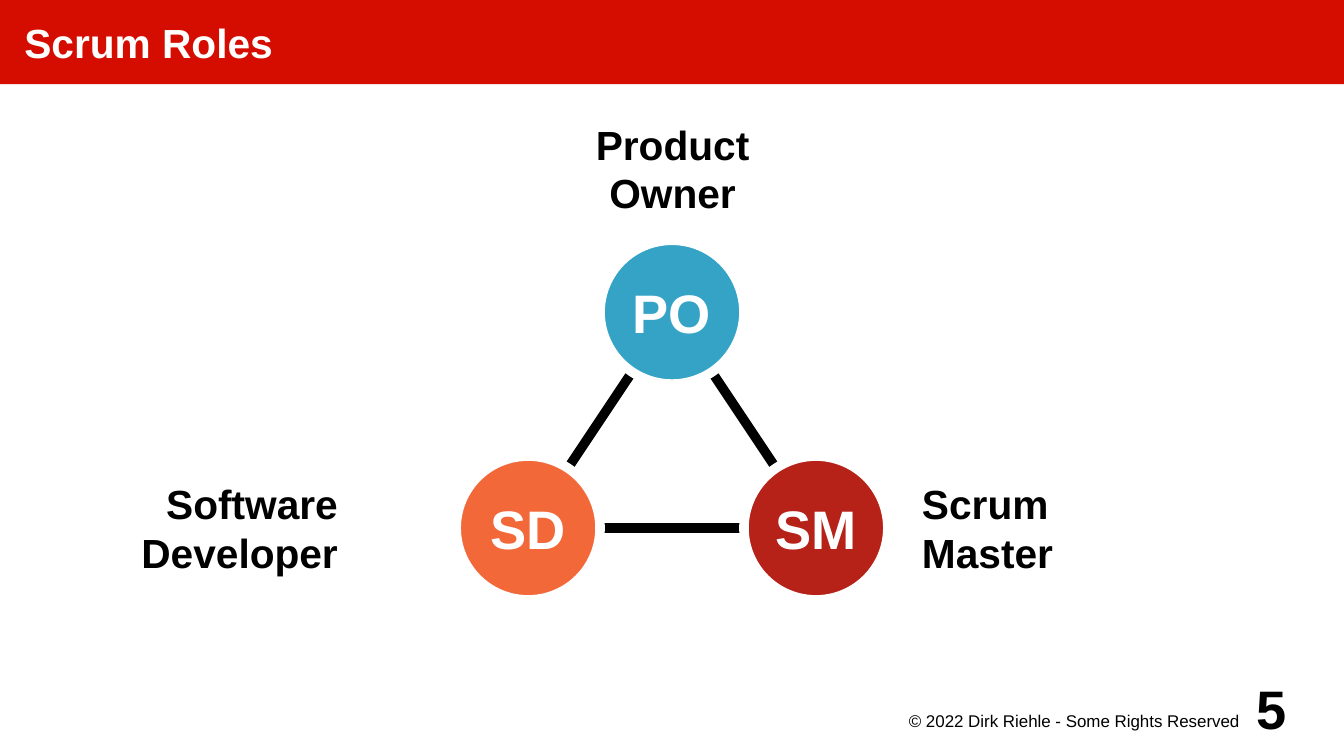
from dataclasses import dataclass
from itertools import combinations

from lxml.etree import SubElement
from pptx import Presentation
from pptx.dml.color import RGBColor
from pptx.enum.shapes import MSO_CONNECTOR, MSO_SHAPE
from pptx.enum.text import MSO_ANCHOR, PP_ALIGN
from pptx.oxml.ns import qn
from pptx.util import Inches, Pt


@dataclass(frozen=True)
class Theme:
    font: str = "Arial"
    banner: RGBColor = RGBColor(0xD5, 0x0D, 0x01)
    owner: RGBColor = RGBColor(0x34, 0xA3, 0xC5)
    master: RGBColor = RGBColor(0xB6, 0x21, 0x18)
    developer: RGBColor = RGBColor(0xF3, 0x68, 0x38)
    white: RGBColor = RGBColor(0xFF, 0xFF, 0xFF)
    black: RGBColor = RGBColor(0, 0, 0)
    heading: Pt = Pt(24)
    large: Pt = Pt(32)
    small: Pt = Pt(10)
    stroke: Pt = Pt(5.67)


theme = Theme()


def write(shape, text, size=theme.heading, color=theme.black, bold=True,
          align=PP_ALIGN.LEFT, anchor=MSO_ANCHOR.MIDDLE,
          insets=(0.08, 0.08, 0.08, 0.08), wrap=True):
    """Fill a shape with text; insets run left, top, right, bottom in inches."""
    frame = shape.text_frame
    frame.text = text
    frame.word_wrap = wrap
    frame.vertical_anchor = anchor
    (frame.margin_left, frame.margin_top,
     frame.margin_right, frame.margin_bottom) = map(Inches, insets)
    for paragraph in frame.paragraphs:
        paragraph.alignment = align
        font = paragraph.font
        font.name, font.size, font.bold = theme.font, size, bold
        font.color.rgb = color


def add_filled(kind, box, fill):
    shape = slide.shapes.add_shape(kind, *map(Inches, box))
    shape.shadow.inherit = False
    shape.fill.solid()
    shape.fill.fore_color.rgb = fill
    shape.line.fill.background()
    return shape


deck = Presentation()
deck.slide_width, deck.slide_height = Inches(11.02), Inches(6.2)
slide = deck.slides.add_slide(deck.slide_layouts[6])

banner = add_filled(MSO_SHAPE.RECTANGLE, (0, 0, 11.02, 0.69), theme.banner)
write(banner, "Scrum Roles", color=theme.white, insets=(0.2, 0, 0, 0))

# Triangle of roles: initials, circle centre, colour
diameter = 1.18
roles = [
    ("SM", (6.69, 4.33), theme.master),
    ("PO", (5.51, 2.56), theme.owner),
    ("SD", (4.33, 4.33), theme.developer),
]

for (_, start, _), (_, end, _) in combinations(roles, 2):
    side = slide.shapes.add_connector(
        MSO_CONNECTOR.STRAIGHT, *map(Inches, start + end))
    side.line.color.rgb = theme.black
    side.line.width = theme.stroke
    SubElement(side.line._get_or_add_ln().getparent(), qn("a:effectLst"))

for initials, (x, y), color in roles:
    box = (x - diameter / 2, y - diameter / 2, diameter, diameter)
    circle = add_filled(MSO_SHAPE.OVAL, box, color)
    circle.line.color.rgb = theme.white
    circle.line.width = theme.stroke
    write(circle, initials, size=theme.large, color=theme.white,
          align=PP_ALIGN.CENTER, insets=(0.1, 0.1, 0.1, 0.1), wrap=False)

# Role names, then footer and page number
captions = [
    ("Product\nOwner", (3.94, 0.79, 3.15, 1.18), dict(align=PP_ALIGN.CENTER)),
    ("Scrum\nMaster", (7.48, 3.74, 3.15, 1.18), {}),
    ("Software\nDeveloper", (0.39, 3.74, 3.15, 1.18),
     dict(align=PP_ALIGN.RIGHT, insets=(0.08, 0.08, 0.77, 0.08))),
    ("© 2022 Dirk Riehle - Some Rights Reserved", (7.09, 5.81, 3.15, 0.3),
     dict(size=theme.small, bold=False, align=PP_ALIGN.RIGHT,
          anchor=MSO_ANCHOR.TOP, insets=(0, 0.02, 0.08, 0))),
    ("5", (10.04, 5.51, 0.79, 0.59),
     dict(size=theme.large, align=PP_ALIGN.RIGHT, insets=(0, 0, 0.28, 0))),
]
for text, box, text_format in captions:
    write(slide.shapes.add_textbox(*map(Inches, box)), text, **text_format)

deck.save("out.pptx")
